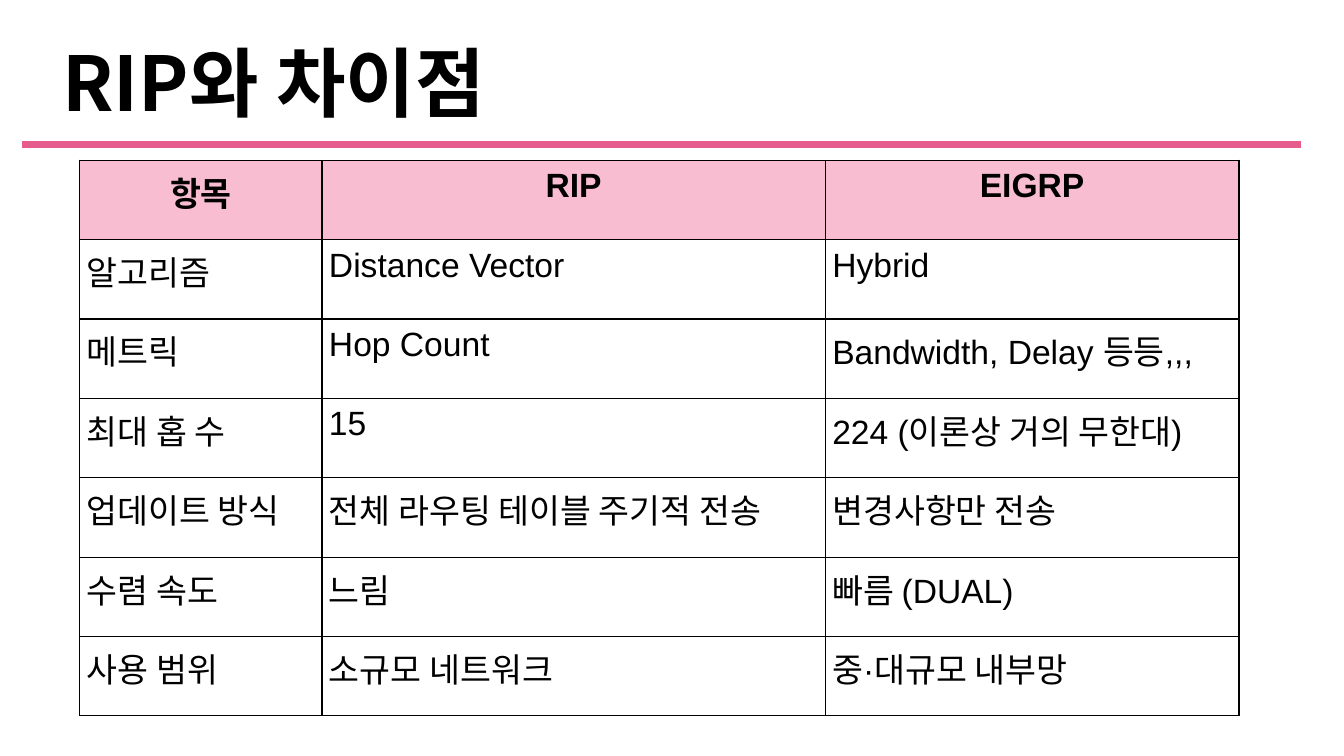
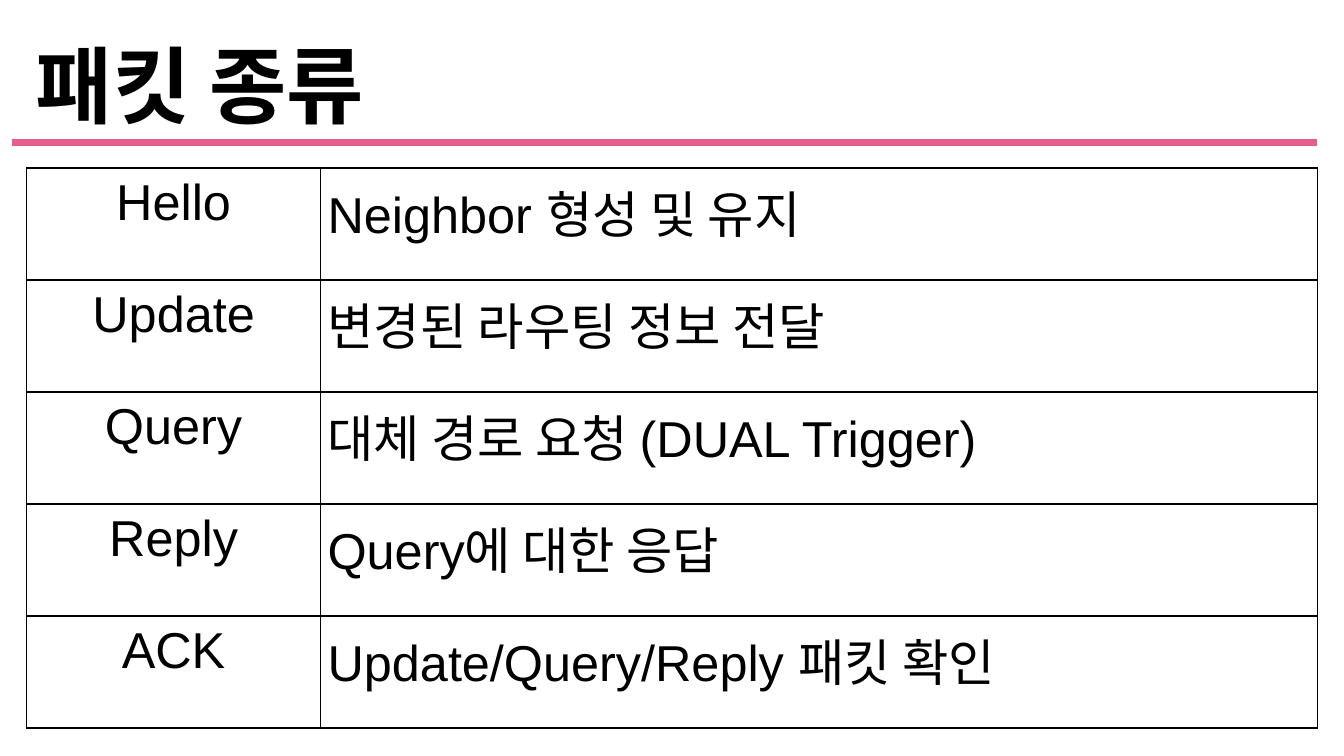
import lxml.etree
import pptx
import pptx.dml.color
import pptx.enum.shapes
import pptx.enum.text
import pptx.oxml.ns
import pptx.util

Pt = pptx.util.Pt
qn = pptx.oxml.ns.qn
ALIGN = pptx.enum.text.PP_ALIGN

COLORS = {"text": "000000", "rule": "E65C8D", "header": "F9BDD2", "border": "000000"}
LATIN_FONT = "Arial"
KOREAN_FONT = "Noto Sans CJK KR"
CELL_MARGIN = 5

COMPARISON = [
    ("항목", "RIP", "EIGRP"),
    ("알고리즘", "Distance Vector", "Hybrid"),
    ("메트릭", "Hop Count", "Bandwidth, Delay 등등,,,"),
    ("최대 홉 수", "15", "224 (이론상 거의 무한대)"),
    ("업데이트 방식", "전체 라우팅 테이블 주기적 전송", "변경사항만 전송"),
    ("수렴 속도", "느림", "빠름 (DUAL)"),
    ("사용 범위", "소규모 네트워크", "중·대규모 내부망"),
]

PACKETS = [
    ("Hello", "Neighbor 형성 및 유지"),
    ("Update", "변경된 라우팅 정보 전달"),
    ("Query", "대체 경로 요청 (DUAL Trigger)"),
    ("Reply", "Query에 대한 응답"),
    ("ACK", "Update/Query/Reply 패킷 확인"),
]


def color(name):
    return pptx.dml.color.RGBColor.from_string(COLORS[name])


def add_span(para, text, size, font, bold=False):
    span = para.add_run()
    span.text = text
    span.font.size = Pt(size)
    span.font.bold = bold
    span.font.color.rgb = color("text")
    span.font.name = font
    properties = span.font._element if hasattr(span.font, "_element") else span._r.get_or_add_rPr()
    lxml.etree.SubElement(properties, qn("a:ea"), typeface=KOREAN_FONT)


def add_title(page, text, size, left, top, height):
    box = page.shapes.add_textbox(Pt(left), Pt(top), Pt(828), Pt(height))
    frame = box.text_frame
    frame.word_wrap = True
    frame.vertical_anchor = pptx.enum.text.MSO_ANCHOR.MIDDLE
    para = frame.paragraphs[0]
    para.line_spacing = 0.9
    add_span(para, text, size, KOREAN_FONT, bold=True)


def add_rule(page, left, right, y):
    rule = page.shapes.add_connector(
        pptx.enum.shapes.MSO_CONNECTOR.STRAIGHT, Pt(left), Pt(y), Pt(right), Pt(y))
    rule.line.color.rgb = color("rule")
    rule.line.width = Pt(5)
    lxml.etree.SubElement(rule._element.spPr, qn("a:effectLst"))


def add_borders(cell):
    properties = cell._tc.get_or_add_tcPr()
    # Border lines come before the fill
    for position, side in enumerate(("lnL", "lnR", "lnT", "lnB")):
        line = lxml.etree.Element(qn("a:" + side), w=str(Pt(1)))
        fill = lxml.etree.SubElement(line, qn("a:solidFill"))
        lxml.etree.SubElement(fill, qn("a:srgbClr"), val=COLORS["border"])
        properties.insert(position, line)


def fill_cell(cell, text, size, centered, header):
    cell.margin_left = cell.margin_right = Pt(CELL_MARGIN)
    cell.margin_top = cell.margin_bottom = Pt(CELL_MARGIN)
    if header:
        cell.fill.solid()
        cell.fill.fore_color.rgb = color("header")
    else:
        cell.fill.background()
    add_borders(cell)
    para = cell.text_frame.paragraphs[0]
    para.alignment = ALIGN.CENTER if centered else ALIGN.LEFT
    add_span(para, text, size, LATIN_FONT, bold=header)


def add_grid(page, rows, left, top, widths, row_height, size,
             header_row=False, center_first=False):
    table = page.shapes.add_table(
        len(rows), len(widths), Pt(left), Pt(top),
        Pt(sum(widths)), Pt(row_height * len(rows))).table
    table.first_row = table.horz_banding = False
    for column, width in zip(table.columns, widths):
        column.width = Pt(width)
    for i, texts in enumerate(rows):
        table.rows[i].height = Pt(row_height)
        for j, text in enumerate(texts):
            header = header_row and i == 0
            centered = header or (center_first and j == 0)
            fill_cell(table.cell(i, j), text, size, centered, header)


def main():
    deck = pptx.Presentation()
    deck.slide_width, deck.slide_height = Pt(960), Pt(540)
    blank = deck.slide_layouts[6]

    # Comparison with RIP
    page = deck.slides.add_slide(blank)
    add_title(page, "RIP와 차이점", 54, left=37.5, top=21, height=83)
    add_grid(page, COMPARISON, left=57, top=114.5, widths=(173, 359.5, 295.5),
             row_height=56.7, size=24, header_row=True)
    add_rule(page, left=16, right=929, y=103.5)

    # Packet types
    page = deck.slides.add_slide(blank)
    add_title(page, "패킷 종류", 60, left=18.5, top=36, height=57)
    add_grid(page, PACKETS, left=19, top=120, widths=(210, 712),
             row_height=80, size=36, center_first=True)
    add_rule(page, left=8.5, right=941, y=102)

    deck.save("out.pptx")


if __name__ == "__main__":
    main()
